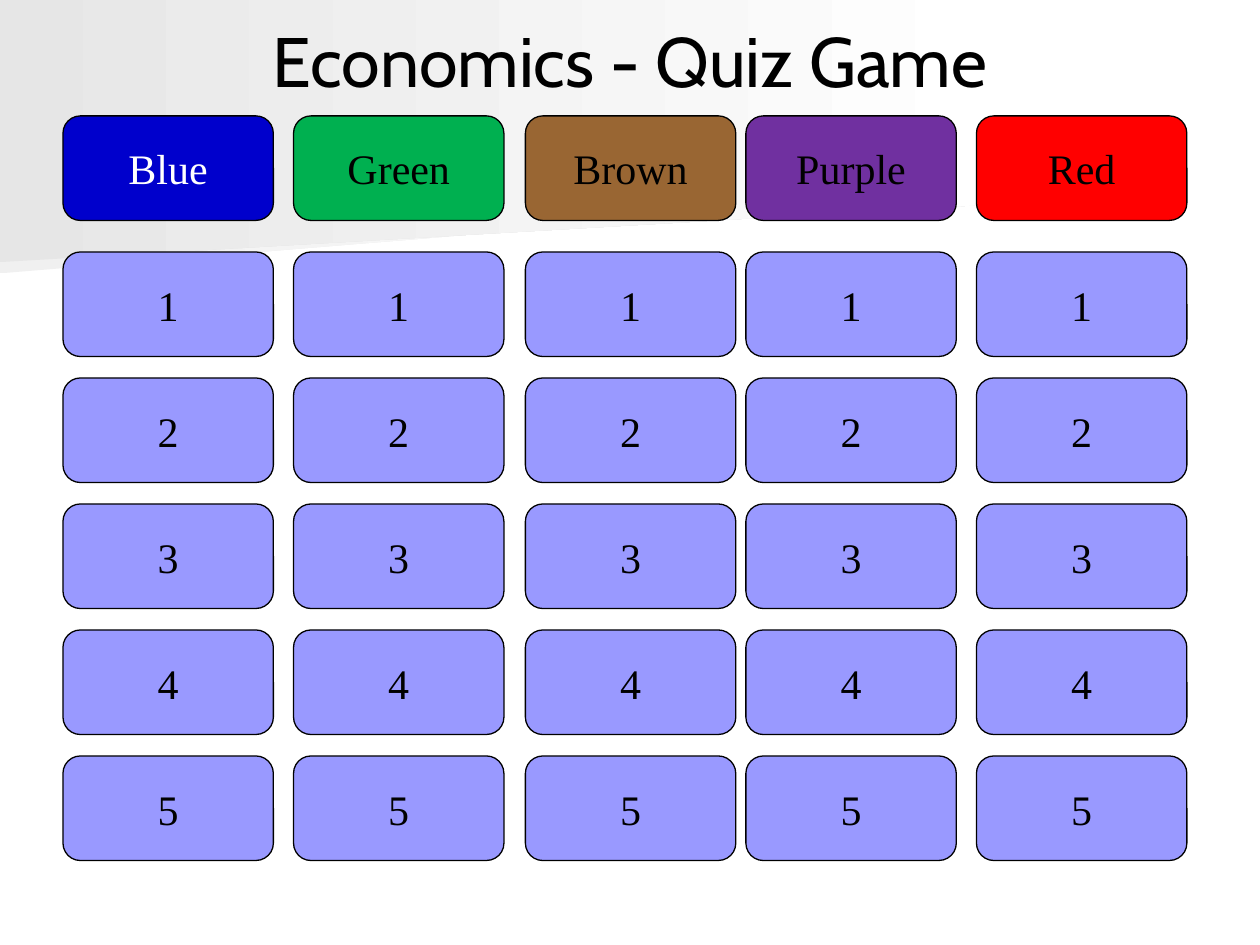
from pptx import Presentation
from pptx.dml.color import RGBColor
from pptx.enum import shapes, text
from pptx.util import Inches, Pt

# Content
TITLE = "Economics - Quiz Game"
# category, fill, text colour, left edge
CATEGORIES = [
    ("Blue", "0000CC", "FFFFFF", 0.5),
    ("Green", "00B050", "000000", 2.33),
    ("Brown", "996633", "000000", 4.17),
    ("Purple", "7030A0", "000000", 5.92),
    ("Red", "FF0000", "000000", 7.75),
]
QUESTIONS = ["1", "2", "3", "4", "5"]
# outline points and start colour of the fade to white
BACKDROP = [
    ([(7.78, 1.53), (0, 2.17), (0, 1.01), (7.79, 1.01), (7.78, 1.28)], "F0F0F0"),
    ([(7.92, 1.62), (0, 2.08), (0, 0), (7.92, 0)], "E6E6E6"),
]

THEME = {
    "title_font": "Cabin", "title_size": 40,
    "card_font": "Times New Roman", "card_size": 24,
    "ink": "000000", "paper": "FFFFFF", "question": "9999FF",
    "border": 0.75,
}

# Layout
CARD_WIDTH, CARD_HEIGHT = 1.67, 0.83
HEADER_TOP, QUESTION_TOP, ROW_STEP = 0.92, 2, 1


def colour(value):
    return RGBColor.from_string(value)


def write(frame, words, font, size, ink):
    frame.vertical_anchor = text.MSO_ANCHOR.MIDDLE
    paragraph = frame.paragraphs[0]
    paragraph.alignment = text.PP_ALIGN.CENTER
    run = paragraph.add_run()
    run.text = words
    run.font.name, run.font.size = font, Pt(size)
    run.font.color.rgb = colour(ink)


def add_band(slide, points, start):
    corners = [(Inches(x), Inches(y)) for x, y in points]
    builder = slide.shapes.build_freeform(*corners[0], scale=1.0)
    builder.add_line_segments(corners[1:], close=True)
    band = builder.convert_to_shape()
    band.shadow.inherit = False
    band.line.fill.background()
    band.fill.gradient()
    band.fill.gradient_angle = 0
    for stop, shade in zip(band.fill.gradient_stops, (start, THEME["paper"])):
        stop.color.rgb = colour(shade)
    return band


def add_card(slide, words, left, top, fill, ink):
    card = slide.shapes.add_shape(
        shapes.MSO_SHAPE.FLOWCHART_ALTERNATE_PROCESS,
        Inches(left), Inches(top), Inches(CARD_WIDTH), Inches(CARD_HEIGHT))
    card.shadow.inherit = False
    card.fill.solid()
    card.fill.fore_color.rgb = colour(fill)
    card.line.color.rgb = colour(THEME["ink"])
    card.line.width = Pt(THEME["border"])
    card.text_frame.word_wrap = False
    write(card.text_frame, words, THEME["card_font"], THEME["card_size"], ink)


def main():
    deck = Presentation()
    deck.slide_width, deck.slide_height = Inches(10), Inches(7.5)
    slide = deck.slides.add_slide(deck.slide_layouts[5])

    # Title
    title = slide.shapes.title
    title.left, title.top = Inches(0.5), Inches(0.21)
    title.width, title.height = Inches(9), Inches(0.53)
    frame = title.text_frame
    frame.margin_left = frame.margin_right = 0
    frame.margin_top = frame.margin_bottom = 0
    frame.auto_size = text.MSO_AUTO_SIZE.NONE
    write(frame, TITLE, THEME["title_font"], THEME["title_size"], THEME["ink"])

    # Backdrop, placed behind the title
    for points, start in BACKDROP:
        title.element.addprevious(add_band(slide, points, start).element)

    # Board: a header and its questions in each column
    for category, fill, ink, left in CATEGORIES:
        add_card(slide, category, left, HEADER_TOP, fill, ink)
        for row, question in enumerate(QUESTIONS):
            add_card(slide, question, left, QUESTION_TOP + row * ROW_STEP,
                     THEME["question"], THEME["ink"])

    deck.save("out.pptx")


if __name__ == "__main__":
    main()
